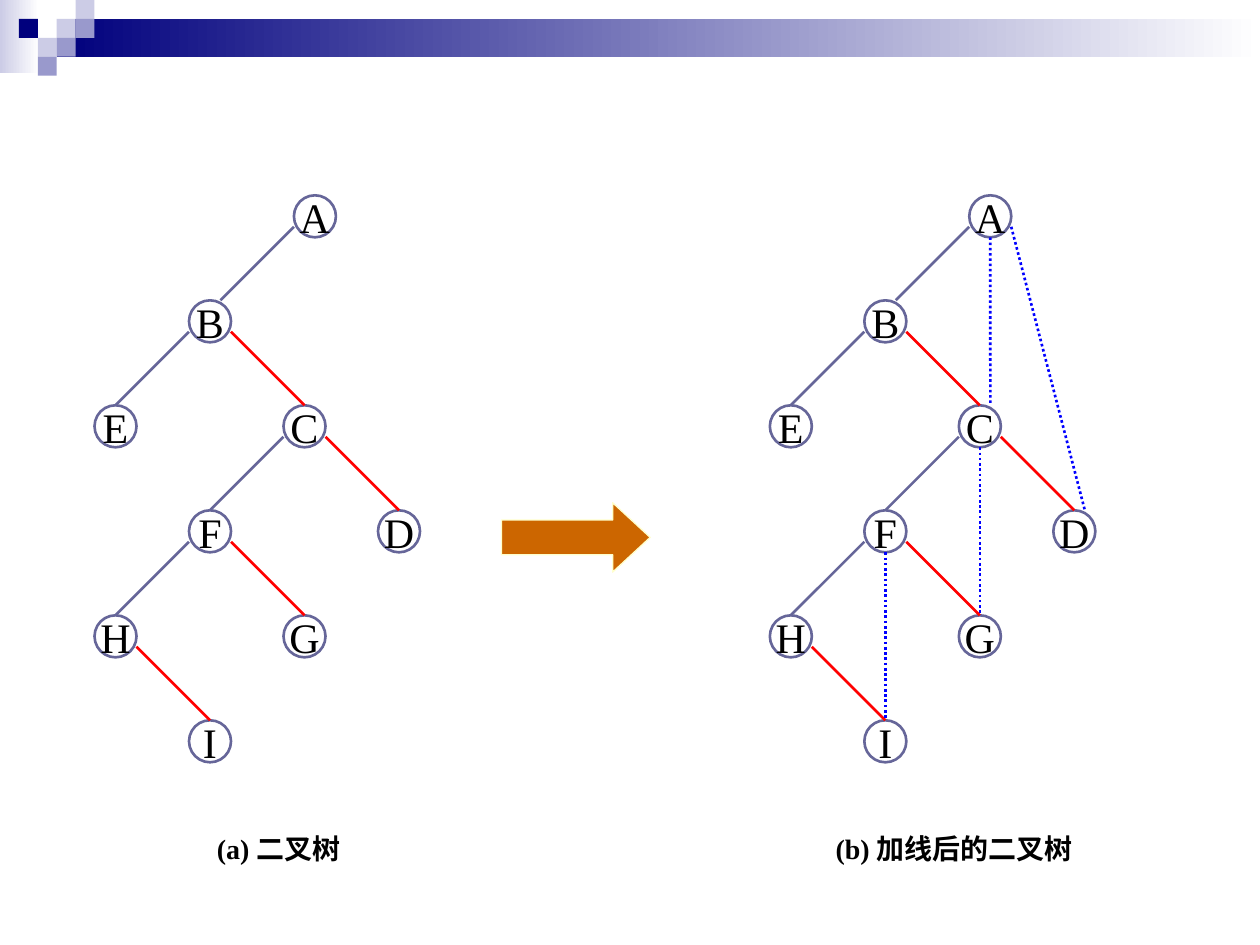
from dataclasses import dataclass

from pptx import Presentation
from pptx.dml.color import RGBColor
from pptx.enum.dml import MSO_LINE
from pptx.enum.shapes import MSO_CONNECTOR, MSO_SHAPE
from pptx.enum.text import MSO_ANCHOR, PP_ALIGN
from pptx.oxml import parse_xml
from pptx.oxml.ns import nsdecls
from pptx.shapes.autoshape import Shape
from pptx.shapes.shapetree import GroupShapes, SlideShapes
from pptx.util import Inches, Pt

RECTANGLE, OVAL, RIGHT_ARROW = MSO_SHAPE.RECTANGLE, MSO_SHAPE.OVAL, MSO_SHAPE.RIGHT_ARROW
STRAIGHT, DOTTED = MSO_CONNECTOR.STRAIGHT, MSO_LINE.ROUND_DOT
CENTER, MIDDLE, TOP = PP_ALIGN.CENTER, MSO_ANCHOR.MIDDLE, MSO_ANCHOR.TOP

WHITE = RGBColor(0xFF, 0xFF, 0xFF)
BLACK = RGBColor(0x00, 0x00, 0x00)
NAVY = RGBColor(0x00, 0x00, 0x7D)
LAVENDER = RGBColor(0xCC, 0xCC, 0xE6)
PERIWINKLE = RGBColor(0x99, 0x99, 0xCC)
SLATE = RGBColor(0x66, 0x66, 0x99)
RED = RGBColor(0xFF, 0x00, 0x00)
BLUE = RGBColor(0x00, 0x00, 0xFF)
ORANGE = RGBColor(0xCC, 0x66, 0x00)
CREAM = RGBColor(0xFF, 0xFF, 0xCC)

FONT = "Times New Roman"
TILE = 0.15
DIAMETER = 1 / 3
COLUMN_STEP = 0.75
ROW_STEP = 5 / 6
TREE_LEFT, TREE_TOP = 0.75, 1.55
TREE_SHIFT = 5.36

LEFT_SIDE = (0, 0.75)
RIGHT_SIDE = (1, 0.75)
TOP_MIDDLE = (0.5, 0)
TOP_RIGHT = (0.75, 0)
BOTTOM = (0.5, 1)


@dataclass(frozen=True)
class Tile:
    column: int
    row: int
    color: RGBColor


@dataclass(frozen=True)
class Node:
    column: float
    row: int


@dataclass(frozen=True)
class Edge:
    start: str
    end: str
    start_anchor: tuple[float, float]
    end_anchor: tuple[float, float] = TOP_MIDDLE
    color: RGBColor = SLATE
    dotted: bool = False


TILES = [
    Tile(3, 1, LAVENDER),
    Tile(4, 0, LAVENDER),
    Tile(4, 1, PERIWINKLE),
    Tile(2, 2, LAVENDER),
    Tile(1, 1, NAVY),
    Tile(3, 2, PERIWINKLE),
    Tile(2, 3, PERIWINKLE),
]

NODES = {
    "A": Node(2.11, 0),
    "B": Node(1, 1),
    "D": Node(3, 3),
    "C": Node(2, 2),
    "F": Node(1, 3),
    "I": Node(1, 5),
    "H": Node(0, 4),
    "G": Node(2, 4),
    "E": Node(0, 2),
}

BRANCHES = [
    Edge("A", "B", LEFT_SIDE, TOP_RIGHT),
    Edge("B", "E", LEFT_SIDE),
    Edge("C", "F", LEFT_SIDE),
    Edge("F", "H", LEFT_SIDE),
    *(Edge(start, end, RIGHT_SIDE, color=RED) for start, end in ("BC", "CD", "FG", "HI")),
]

THREADS = [
    Edge("A", "C", BOTTOM, TOP_RIGHT, BLUE, True),
    Edge("A", "D", RIGHT_SIDE, TOP_RIGHT, BLUE, True),
    Edge("C", "G", BOTTOM, color=BLUE, dotted=True),
    Edge("F", "I", BOTTOM, color=BLUE, dotted=True),
]


def add_block(shapes: SlideShapes | GroupShapes, kind: MSO_SHAPE, left: float, top: float,
              width: float, height: float, color: RGBColor, fade_to: RGBColor | None = None,
              line: RGBColor | None = None, line_width: float = 1.5) -> Shape:
    shape = shapes.add_shape(kind, Inches(left), Inches(top), Inches(width), Inches(height))
    shape.shadow.inherit = False
    if fade_to is None:
        shape.fill.solid()
        shape.fill.fore_color.rgb = color
    else:
        shape.fill.gradient()
        shape.fill.gradient_angle = 0
        for stop, stop_color in zip(shape.fill.gradient_stops, (color, fade_to)):
            stop.color.rgb = stop_color
    if line is None:
        shape.line.fill.background()
    else:
        shape.line.color.rgb = line
        shape.line.width = Pt(line_width)
    return shape


def write_text(shape: Shape, text: str, *, size: float, bold: bool = False,
               wrap: bool = True, anchor: MSO_ANCHOR = TOP) -> None:
    frame = shape.text_frame
    frame.word_wrap = wrap
    frame.vertical_anchor = anchor
    paragraph = frame.paragraphs[0]
    paragraph.alignment = CENTER
    run = paragraph.add_run()
    run.text = text
    run.font.name = FONT
    run.font.size = Pt(size)
    run.font.bold = bold
    run.font.color.rgb = BLACK


def add_edge(shapes: GroupShapes, edge: Edge, shift: float) -> None:
    ends = []
    for name, anchor in ((edge.start, edge.start_anchor), (edge.end, edge.end_anchor)):
        left, top = node_corner(NODES[name], shift)
        ends += [Inches(left + anchor[0] * DIAMETER), Inches(top + anchor[1] * DIAMETER)]
    connector = shapes.add_connector(STRAIGHT, *ends)
    connector.line.color.rgb = edge.color
    connector.line.width = Pt(1.5)
    if edge.dotted:
        connector.line.dash_style = DOTTED
    connector._element.spPr.append(parse_xml(f"<a:effectLst {nsdecls('a')}/>"))


def node_corner(node: Node, shift: float) -> tuple[float, float]:
    return TREE_LEFT + shift + node.column * COLUMN_STEP, TREE_TOP + node.row * ROW_STEP


def add_tree(shapes: SlideShapes, caption: str, edges: list[Edge], shift: float = 0) -> None:
    caption_box = shapes.add_textbox(Inches(1 + shift), Inches(6.55), Inches(2.42), Inches(0.37))
    write_text(caption_box, caption, size=16, bold=True)
    group = shapes.add_group_shape()
    for name, node in NODES.items():
        left, top = node_corner(node, shift)
        circle = add_block(group.shapes, OVAL, left, top, DIAMETER, DIAMETER, WHITE, line=SLATE)
        write_text(circle, name, size=24, wrap=False, anchor=MIDDLE)
    for edge in edges:
        add_edge(group.shapes, edge, shift)


def add_banner(shapes: SlideShapes) -> None:
    banner = shapes.add_group_shape().shapes
    add_block(banner, RECTANGLE, 0, 0, 0.31, 0.58, LAVENDER, fade_to=WHITE)
    add_block(banner, RECTANGLE, 0.45, 0.15, 9.55, 0.3, NAVY, fade_to=WHITE)
    for tile in TILES:
        add_block(banner, RECTANGLE, tile.column * TILE, tile.row * TILE, TILE, TILE, tile.color)


def main() -> None:
    presentation = Presentation()
    presentation.slide_width = Inches(10)
    presentation.slide_height = Inches(7.5)
    slide = presentation.slides.add_slide(presentation.slide_layouts[6])
    add_banner(slide.shapes)
    add_tree(slide.shapes, "(a) 二叉树", BRANCHES)
    add_tree(slide.shapes, "(b) 加线后的二叉树", BRANCHES + THREADS, TREE_SHIFT)
    arrow = add_block(slide.shapes, RIGHT_ARROW, 3.98, 3.99, 1.18, 0.55, ORANGE,
                      line=CREAM, line_width=0.75)
    arrow.adjustments[1] = 0.54
    presentation.save("out.pptx")


if __name__ == "__main__":
    main()
